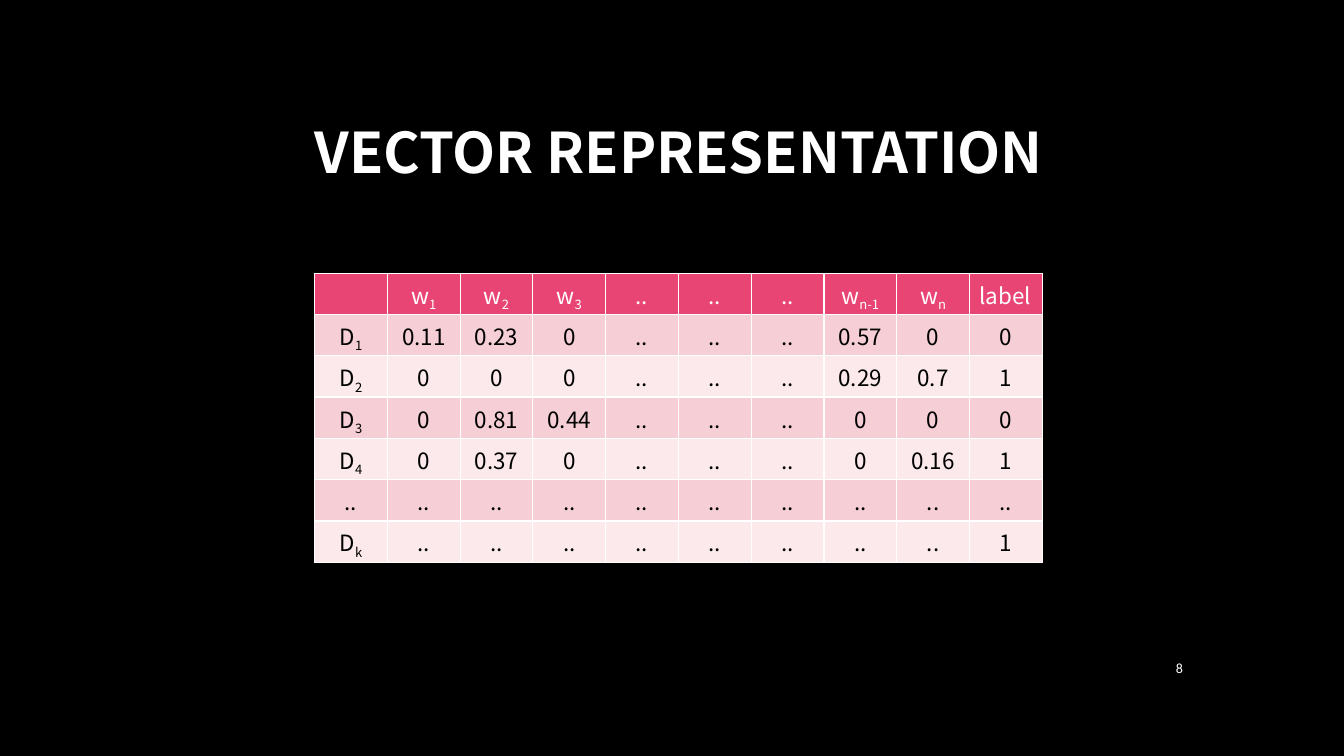
import pptx
import pptx.dml.color
import pptx.enum.text
import pptx.oxml
import pptx.oxml.ns
import pptx.util
from pptx.util import Inches

# Content: an underscore separates a symbol from its subscript
TITLE = "VECTOR REPRESENTATION"
PAGE_NUMBER = "8"
ROWS = [
    ["", "w_1", "w_2", "w_3", "..", "..", "..", "w_n-1", "w_n", "label"],
    ["D_1", "0.11", "0.23", "0", "..", "..", "..", "0.57", "0", "0"],
    ["D_2", "0", "0", "0", "..", "..", "..", "0.29", "0.7", "1"],
    ["D_3", "0", "0.81", "0.44", "..", "..", "..", "0", "0", "0"],
    ["D_4", "0", "0.37", "0", "..", "..", "..", "0", "0.16", "1"],
    [".."] * 10,
    ["D_k"] + [".."] * 8 + ["1"],
]

# Style
FONT = "Noto Sans CJK SC"
BLACK, WHITE = "000000", "FFFFFF"
HEADER_FILL = "E84574"
BAND_FILLS = ["FBE9EB", "F6CFD6"]
TABLE_LEFT, TABLE_TOP = 3.12, 2.71
COLUMN_WIDTH, ROW_HEIGHT = 0.722, 0.41
ALIGN = pptx.enum.text.PP_ALIGN


def color(value):
    return pptx.dml.color.RGBColor.from_string(value)


def fill_solid(fill, value):
    fill.solid()
    fill.fore_color.rgb = color(value)


def format_run(run, size, font_name, value, bold=False):
    run.font.size = pptx.util.Pt(size)
    run.font.name = font_name
    run.font.bold = bold
    run.font.color.rgb = color(value)


def add_text(slide, box, text, align, size, font_name, bold=False):
    shape = slide.shapes.add_textbox(*[Inches(length) for length in box])
    frame = shape.text_frame
    frame.word_wrap = True
    frame.vertical_anchor = pptx.enum.text.MSO_ANCHOR.MIDDLE
    frame.text = text
    paragraph = frame.paragraphs[0]
    paragraph.alignment = align
    format_run(paragraph.runs[0], size, font_name, WHITE, bold)


def add_borders(cell):
    properties = cell._tc.get_or_add_tcPr()
    for position, side in enumerate(("lnL", "lnR", "lnT", "lnB")):
        border = pptx.oxml.parse_xml(
            f'<a:{side} {pptx.oxml.ns.nsdecls("a")} w="12700"><a:solidFill>'
            f'<a:srgbClr val="{WHITE}"/></a:solidFill></a:{side}>')
        properties.insert(position, border)


def fill_cell(cell, text, fill, text_color, align):
    fill_solid(cell.fill, fill)
    add_borders(cell)
    symbol, _, subscript = text.partition("_")
    paragraph = cell.text_frame.paragraphs[0]
    paragraph.alignment = align
    for part in filter(None, (symbol, subscript)):
        run = paragraph.add_run()
        run.text = part
        format_run(run, 16, FONT, text_color)
    if subscript:
        run.font._element.set("baseline", "-25000")


# Slide
presentation = pptx.Presentation()
presentation.slide_width = Inches(13.33)
presentation.slide_height = Inches(7.5)
slide = presentation.slides.add_slide(presentation.slide_layouts[6])
fill_solid(slide.background.fill, BLACK)

# Title and page number
add_text(slide, (1.19, 0.7, 11.08, 1.59), TITLE, ALIGN.CENTER, 40, FONT, bold=True)
add_text(slide, (11.23, 6.42, 0.6, 0.41), PAGE_NUMBER, ALIGN.RIGHT, 10, "Calibri")

# Document vectors
row_count, column_count = len(ROWS), len(ROWS[0])
table = slide.shapes.add_table(
    row_count, column_count, Inches(TABLE_LEFT), Inches(TABLE_TOP),
    Inches(COLUMN_WIDTH * column_count), Inches(ROW_HEIGHT * row_count)).table
for column in table.columns:
    column.width = Inches(COLUMN_WIDTH)
for row_index, row in enumerate(ROWS):
    table.rows[row_index].height = Inches(ROW_HEIGHT)
    is_header = row_index == 0
    fill = HEADER_FILL if is_header else BAND_FILLS[row_index % 2]
    for column_index, text in enumerate(row):
        fill_cell(table.cell(row_index, column_index), text, fill,
                  WHITE if is_header else BLACK,
                  ALIGN.LEFT if text == "label" else ALIGN.CENTER)

presentation.save("out.pptx")
